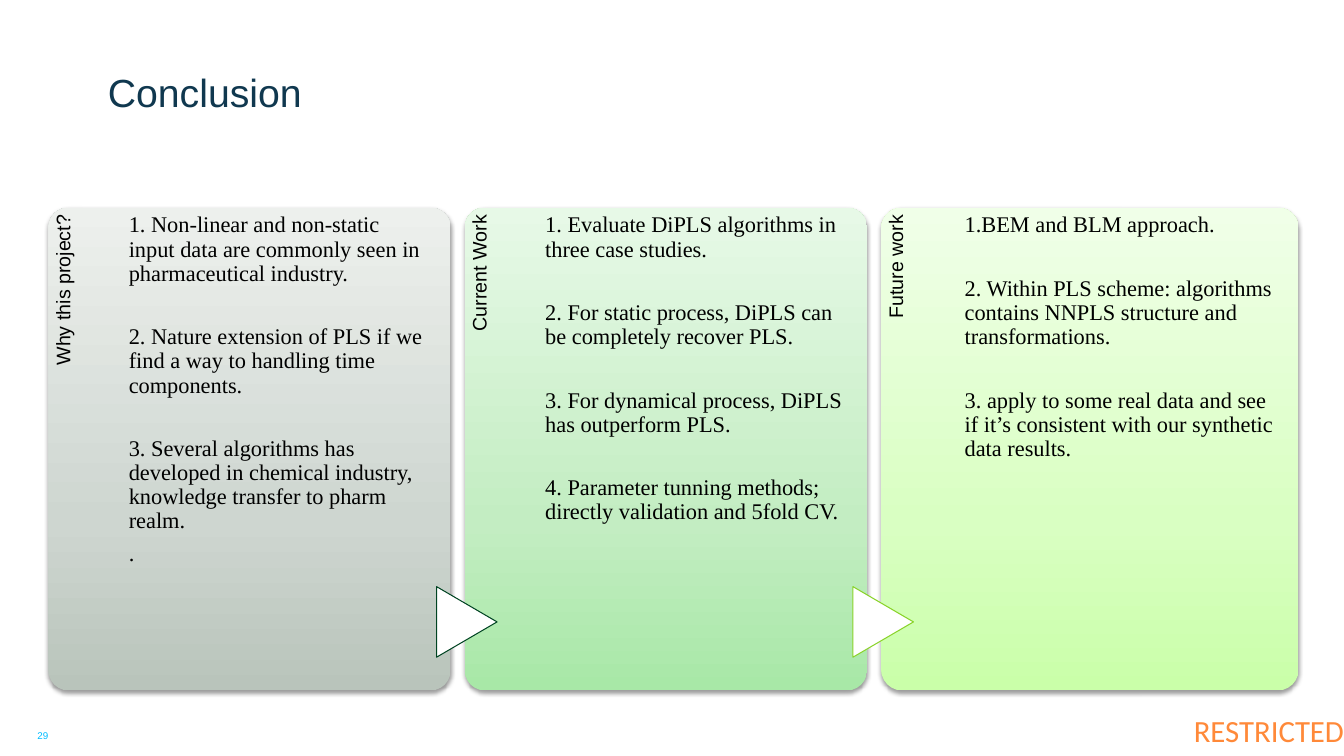
import pptx
import pptx.dml.color
import pptx.enum.shapes
import pptx.enum.text
import pptx.oxml
import pptx.oxml.ns
import pptx.util
from dataclasses import dataclass

Inches = pptx.util.Inches
Pt = pptx.util.Pt
RGB = pptx.dml.color.RGBColor.from_string
SHAPE = pptx.enum.shapes.MSO_SHAPE
ALIGN = pptx.enum.text.PP_ALIGN
ANCHOR = pptx.enum.text.MSO_ANCHOR
NS = pptx.oxml.ns.nsdecls("a")


@dataclass(frozen=True)
class Theme:
    title: tuple = ("Arial", 28, "10384F")
    number: tuple = ("Arial", 7, "00BCFF")
    marking: tuple = ("Calibri", 22, "FF8939")
    label: tuple = ("Arial", 14, "000000")
    body: tuple = ("Times New Roman", 16, "000000")
    grey: tuple = ("B9C4BB", "CED6D0", "EDF0ED")
    green: tuple = ("A8E8A7", "C3EDC2", "E7F9E7")
    lime: tuple = ("CAFFA9", "D9FFC2", "F0FFE8")
    arrow_fill: str = "FFFFFF"
    dark_green: str = "004422"
    bright_green: str = "89D329"
    shadow: str = "000000"


theme = Theme()
prs = pptx.Presentation()
prs.slide_width, prs.slide_height = Inches(13.33), Inches(7.5)
s = prs.slides.add_slide(prs.slide_layouts[6])


def add_text(box, lines, style, insets=(0, 0, 0, 0), anchor=ANCHOR.TOP, **fmt):
    """Add a text box; fmt holds paragraph attributes shared by all lines."""
    sp = s.shapes.add_textbox(*map(Inches, box))
    tf = sp.text_frame
    tf.word_wrap = True
    tf.vertical_anchor = anchor
    for side, inset in zip(("left", "top", "right", "bottom"), insets):
        setattr(tf, f"margin_{side}", Inches(inset))
    font, size, color = style
    for i, line in enumerate(lines):
        p = tf.add_paragraph() if i else tf.paragraphs[0]
        for name, value in fmt.items():
            setattr(p, name, value)
        r = p.add_run()
        r.text = line
        for name, value in {"name": font, "size": Pt(size)}.items():
            setattr(r.font, name, value)
        r.font.color.rgb = RGB(color)
    return sp


def add_card(box, colors):
    """Add a rounded card with an upward gradient and a soft shadow."""
    sp = s.shapes.add_shape(SHAPE.ROUNDED_RECTANGLE, *map(Inches, box))
    sp.adjustments[0] = 0.05
    sp.line.fill.background()
    sp.shadow.inherit = False
    props = sp.element.spPr
    stops = "".join(
        f'<a:gs pos="{pos}"><a:srgbClr val="{color}"/></a:gs>'
        for pos, color in zip((0, 35000, 100000), colors))
    gradient = pptx.oxml.parse_xml(
        f'<a:gradFill {NS} rotWithShape="1"><a:gsLst>{stops}</a:gsLst>'
        '<a:lin ang="16200000" scaled="0"/></a:gradFill>')
    props.find(pptx.oxml.ns.qn("a:ln")).addprevious(gradient)
    props.find(pptx.oxml.ns.qn("a:effectLst")).append(pptx.oxml.parse_xml(
        f'<a:outerShdw {NS} blurRad="40000" dist="20000" dir="5400000" rotWithShape="0">'
        f'<a:srgbClr val="{theme.shadow}"><a:alpha val="38000"/></a:srgbClr></a:outerShdw>'))


add_text((11.28, 6.99, 2.05, 0.51), ["RESTRICTED"], theme.marking,
         anchor=ANCHOR.MIDDLE, alignment=ALIGN.RIGHT)
add_text((1.07, 0.2, 11.81, 0.94), ["Conclusion"], theme.title, anchor=ANCHOR.BOTTOM)
add_text((0.21, 7.24, 0.43, 0.12), ["29"], theme.number, alignment=ALIGN.CENTER)

# label, card width, gradient, outline of the arrow leading in, points
columns = [
    ("Why this project?", 3.99, theme.grey, None, [
        "1. Non-linear and non-static input data are commonly seen in pharmaceutical industry.",
        "2. Nature extension of PLS if we find a way to handling time components.",
        "3. Several algorithms has developed in chemical industry, "
        "knowledge transfer to pharm realm.",
        "."]),
    ("Current Work", 3.99, theme.green, theme.dark_green, [
        "1. Evaluate DiPLS algorithms in three case studies.",
        "2. For static process, DiPLS can be completely recover PLS.",
        "3. For dynamical process, DiPLS has outperform PLS.",
        "4. Parameter tunning methods; directly validation and 5fold CV."]),
    ("Future work", 4.14, theme.lime, theme.bright_green, [
        "1.BEM and BLM approach.",
        "2. Within PLS scheme: algorithms contains NNPLS structure and transformations.",
        "3. apply to some real data and see if it’s consistent with our synthetic data results."]),
]
top, height, step = 2.06, 4.79, 4.13
label_length = 3.93

for i, (label, width, colors, arrow_color, points) in enumerate(columns):
    left = 0.48 + i * step
    band = 0.2 * width
    add_card((left, top, width, height), colors)

    # The label turns about its centre to fill the band at the card's left
    sp = add_text((left + (band - label_length) / 2, top + (label_length - band) / 2,
                   label_length, band), [label], theme.label, (0, 0.05, 0.07, 0),
                  alignment=ALIGN.RIGHT, line_spacing=0.9)
    sp.rotation = 270

    if arrow_color:
        sp = s.shapes.add_shape(SHAPE.FLOWCHART_EXTRACT, Inches(left - 0.33),
                                Inches(5.87), Inches(0.7), Inches(0.6))
        sp.rotation = 90
        sp.shadow.inherit = False
        sp.fill.solid()
        sp.fill.fore_color.rgb = RGB(theme.arrow_fill)
        sp.line.color.rgb = RGB(arrow_color)
        sp.line.width = Pt(0.75)

    sp = add_text((left + band, top, 0.745 * width, height), points, theme.body,
                  (0, 0.06, 0, 0), line_spacing=0.9, space_after=Pt(28))
    for p, following in zip(sp.text_frame.paragraphs, points[1:]):
        if following == ".":
            p.space_after = Pt(6)

prs.save("out.pptx")
